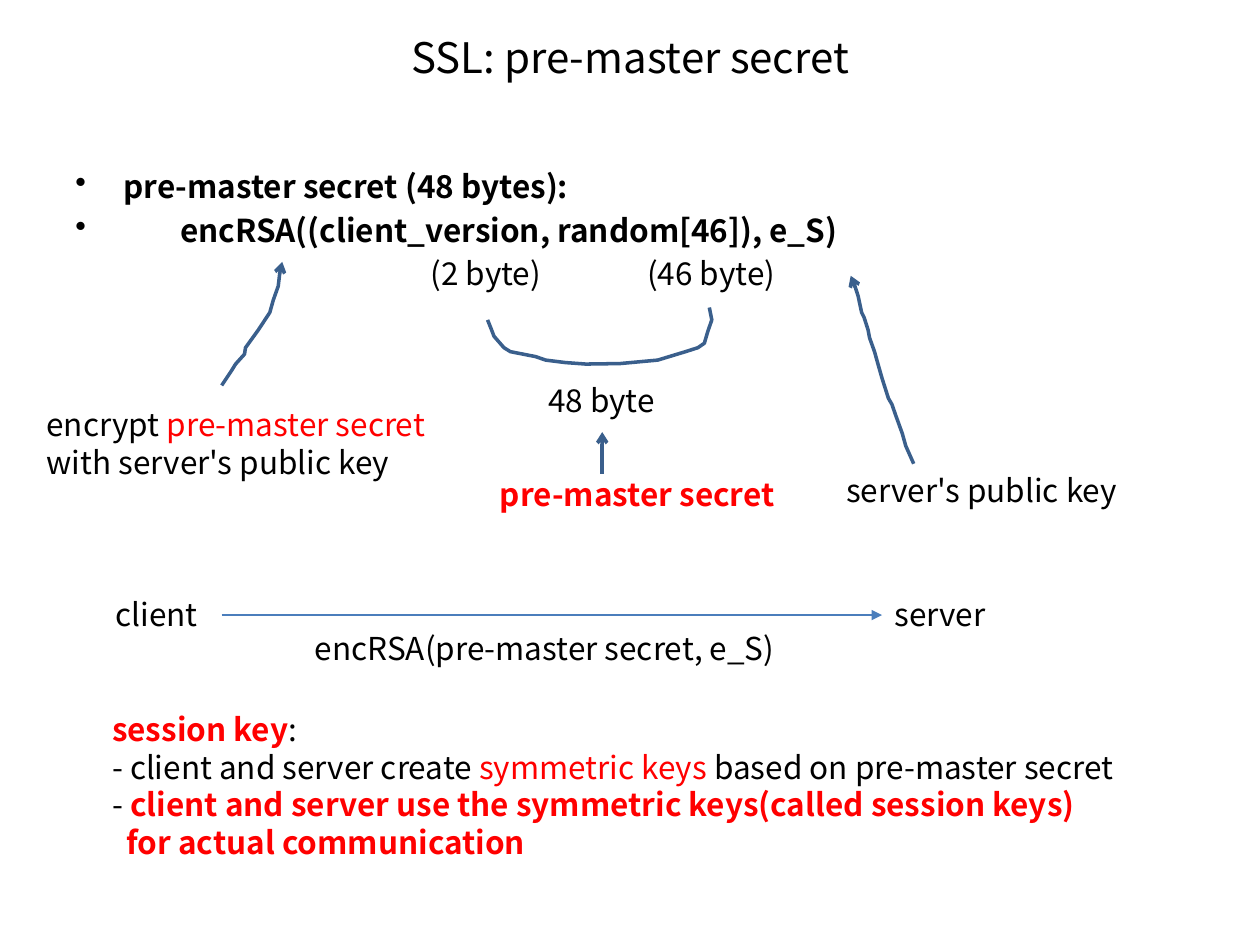
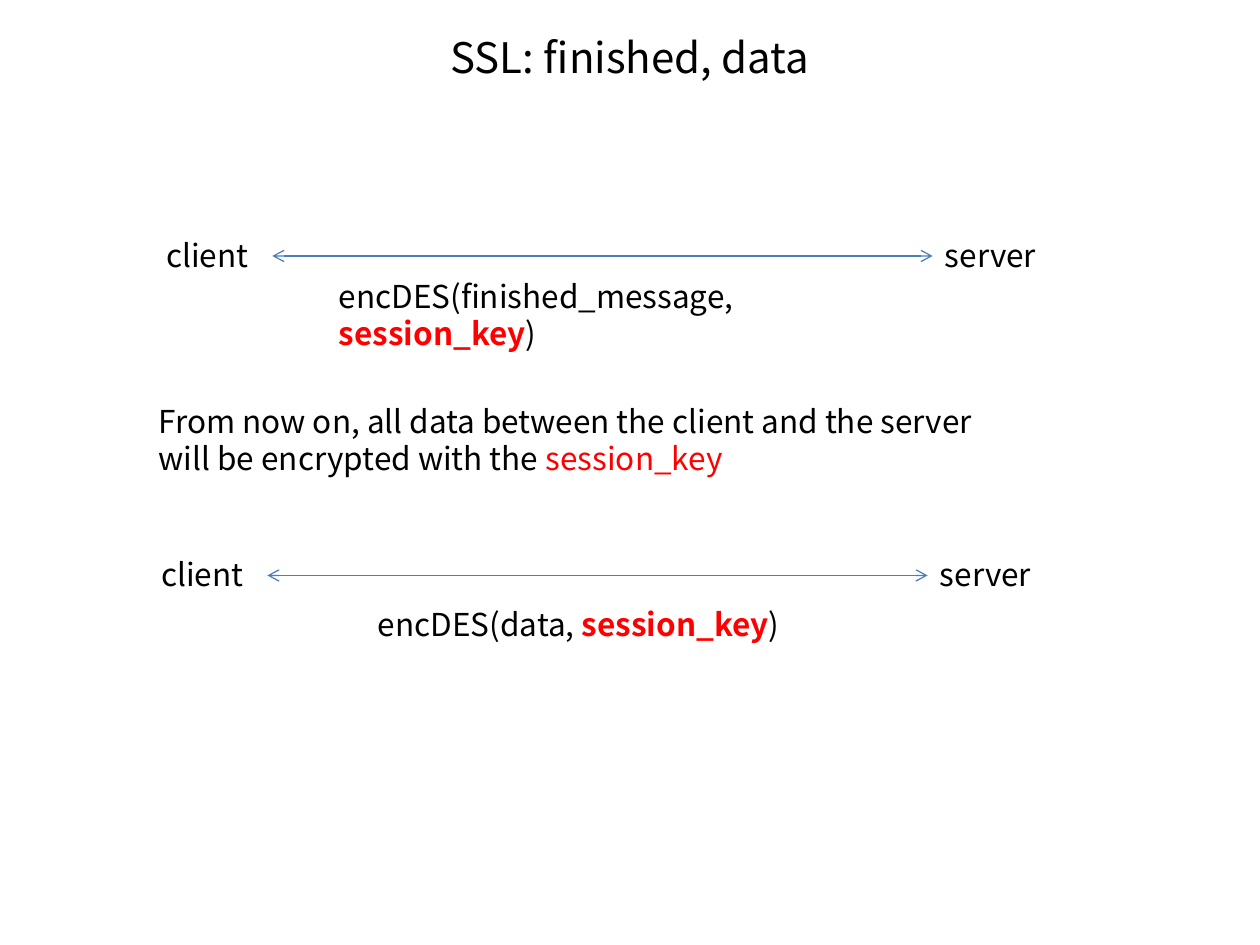
from lxml.etree import SubElement
from pptx import Presentation
from pptx.dml.color import RGBColor
from pptx.enum.shapes import MSO_CONNECTOR
from pptx.enum.text import MSO_ANCHOR, PP_ALIGN
from pptx.oxml.ns import qn
from pptx.util import Cm, Pt

FONT = "Noto Sans CJK KR"
LINE_HEIGHT = 1.19
COLORS = {"text": "000000", "key": "FF0000", "pointer": "3A5F8C", "exchange": "4B7EBC"}

# Each run style: colour name and bold flag
STYLES = {"plain": ("text", False), "bold": ("text", True),
          "red": ("key", False), "strong": ("key", True)}

# Hand-drawn strokes, as points in centimetres
BYTES_BRACE = [
    (9.83, 6.45), (9.91, 6.65), (9.96, 6.78), (10.16, 7.01), (10.29, 7.09),
    (10.8, 7.19), (11, 7.26), (11.4, 7.31), (11.81, 7.34), (12.5, 7.33),
    (13.26, 7.26), (13.82, 7.09), (14.07, 7.01), (14.2, 6.92), (14.27, 6.68),
    (14.35, 6.45), (14.3, 6.2)]
SERVER_KEY_POINTER = [
    (18.42, 9.35), (18.26, 8.99), (18.19, 8.74), (18.06, 8.38), (17.98, 8.15),
    (17.91, 8.03), (17.78, 7.62), (17.7, 7.34), (17.63, 7.09), (17.53, 6.81),
    (17.5, 6.65), (17.42, 6.4), (17.37, 6.3), (17.3, 5.97), (17.22, 5.72),
    (17.15, 5.56)]
ENCRYPT_POINTER = [
    (4.47, 7.77), (4.67, 7.47), (4.75, 7.34), (4.93, 7.14), (4.95, 7.01),
    (5.21, 6.65), (5.44, 6.3), (5.51, 6.05), (5.61, 5.77), (5.64, 5.51),
    (5.69, 5.28)]


def rgb(name):
    return RGBColor.from_string(COLORS[name])


def add_text(slide, left, top, width, height, *lines, size=18):
    """Add a text box; each line is a list of (text, style) runs."""
    box = slide.shapes.add_textbox(Cm(left), Cm(top), Cm(width), Cm(height))
    frame = box.text_frame
    frame.word_wrap = True
    for number, runs in enumerate(lines):
        paragraph = frame.add_paragraph() if number else frame.paragraphs[0]
        paragraph.line_spacing = Pt(round(size * LINE_HEIGHT, 1))
        paragraph.font.name = FONT
        paragraph.font.size = Pt(size)
        for text, style in runs:
            color, bold = STYLES[style]
            run = paragraph.add_run()
            run.text = text
            run.font.color.rgb = rgb(color)
            run.font.bold = bold
    return frame


def add_label(slide, left, top, width, text, style="plain"):
    add_text(slide, left, top, width, 1.02, [(text, style)])


def add_title(slide, text):
    frame = add_text(slide, 1.27, 0.76, 22.86, 0.76, [(text, "plain")], size=24)
    frame.vertical_anchor = MSO_ANCHOR.MIDDLE
    frame.paragraphs[0].alignment = PP_ALIGN.CENTER


def set_indent(paragraph, margin, bullet=None):
    properties = paragraph._p.get_or_add_pPr()
    properties.set("marL", str(Cm(margin)))
    if bullet:
        properties.set("indent", str(-Cm(margin)))
        mark = properties.makeelement(qn("a:buChar"), {"char": bullet})
        properties.find(qn("a:defRPr")).addprevious(mark)


def style_line(line, color, width, head=None, tail=None):
    line.color.rgb = rgb(color)
    line.width = Pt(width)
    for end, arrow in (("a:headEnd", head), ("a:tailEnd", tail)):
        if arrow:
            SubElement(line._get_or_add_ln(), qn(end), type=arrow)


def add_line(slide, start, end, color, width, head=None, tail=None):
    connector = slide.shapes.add_connector(
        MSO_CONNECTOR.STRAIGHT, *(Cm(value) for value in (*start, *end)))
    style_line(connector.line, color, width, head, tail)
    SubElement(connector._element.spPr, qn("a:effectLst"))


def add_stroke(slide, points, tail=None):
    start, *rest = [(Cm(x), Cm(y)) for x, y in points]
    builder = slide.shapes.build_freeform(*start)
    builder.add_line_segments(rest, close=False)
    stroke = builder.convert_to_shape()
    stroke.fill.background()
    style_line(stroke.line, "pointer", 2, tail=tail)
    stroke.shadow.inherit = False


def add_exchange(slide, left, y, head=None, tail="arrow"):
    """Draw client and server with the message arrow between them."""
    server_left = left + 15.7
    add_label(slide, left, y - 0.52, 4.8, "client")
    add_label(slide, server_left, y - 0.52, 4.8, "server")
    add_line(slide, (left + 2.39, y), (server_left, y), "exchange", 0.75, head, tail)


def build_pre_master_secret(slide):
    add_title(slide, "SSL: pre-master secret")

    # Definition of the secret
    definition = add_text(
        slide, 1.27, 3.25, 23.62, 2.29,
        [("pre-master secret (48 bytes):", "bold")],
        [("encRSA((client_version, random[46]), e_S)", "bold")])
    for paragraph, margin in zip(definition.paragraphs, (0.97, 2.11)):
        paragraph.alignment = PP_ALIGN.JUSTIFY
        paragraph.space_before = Pt(3.6)
        set_indent(paragraph, margin, "•")

    # Byte counts
    add_label(slide, 8.43, 5, 4.19, "(2 byte)")
    add_label(slide, 12.8, 5, 3.4, "(46 byte)")
    add_stroke(slide, BYTES_BRACE)
    add_label(slide, 10.8, 7.57, 3.81, "48 byte")
    add_label(slide, 9.83, 9.45, 6.91, "pre-master secret", "strong")
    add_line(slide, (12.14, 9.55), (12.14, 8.71), "pointer", 2, tail="arrow")

    # Explanations of the key and the encryption
    add_label(slide, 16.81, 9.37, 7.59, "server's public key")
    add_stroke(slide, SERVER_KEY_POINTER, tail="arrow")
    add_text(slide, 0.69, 8.05, 10.46, 1.8,
             [("encrypt ", "plain"), ("pre-master secret", "red")],
             [("with server's public key", "plain")])
    add_stroke(slide, ENCRYPT_POINTER, tail="arrow")

    # Message from client to server
    add_exchange(slide, 2.08, 12.4, tail="triangle")
    add_label(slide, 6.1, 12.57, 11.73, "encRSA(pre-master secret, e_S)")

    # Session key
    session_key = add_text(
        slide, 2.01, 14.2, 21.26, 3.33,
        [("session key", "strong"), (":", "plain")],
        [("- client and server create ", "plain"), ("symmetric keys ", "red"),
         ("based on pre-master secret", "plain")],
        [("- ", "plain"),
         ("client and server use the symmetric keys(called session keys)", "strong")],
        [("for actual communication", "strong")])
    set_indent(session_key.paragraphs[-1], 0.29)


def build_finished_data(slide):
    add_title(slide, "SSL: finished, data")

    # Two encrypted exchanges: arrow position, then message position and width
    exchanges = [(3.1, 5.16, 6.58, 5.46, 12.22, "finished_message"),
                 (3, 11.6, 7.37, 12.07, 11.73, "data")]
    for left, y, message_left, message_top, width, content in exchanges:
        add_exchange(slide, left, y, head="arrow")
        add_text(slide, message_left, message_top, width, 1.02,
                 [(f"encDES({content}, ", "plain"), ("session_key", "strong"),
                  (")", "plain")])

    # Consequence
    add_text(slide, 2.95, 7.98, 19.51, 1.8,
             [("From now on, all data between the client and the server", "plain")],
             [("will be encrypted with the ", "plain"), ("session_key", "red")])


def main():
    deck = Presentation()
    deck.slide_width, deck.slide_height = Cm(25.4), Cm(19.05)
    blank = deck.slide_layouts[6]
    for build in (build_pre_master_secret, build_finished_data):
        build(deck.slides.add_slide(blank))
    deck.save("out.pptx")


if __name__ == "__main__":
    main()
